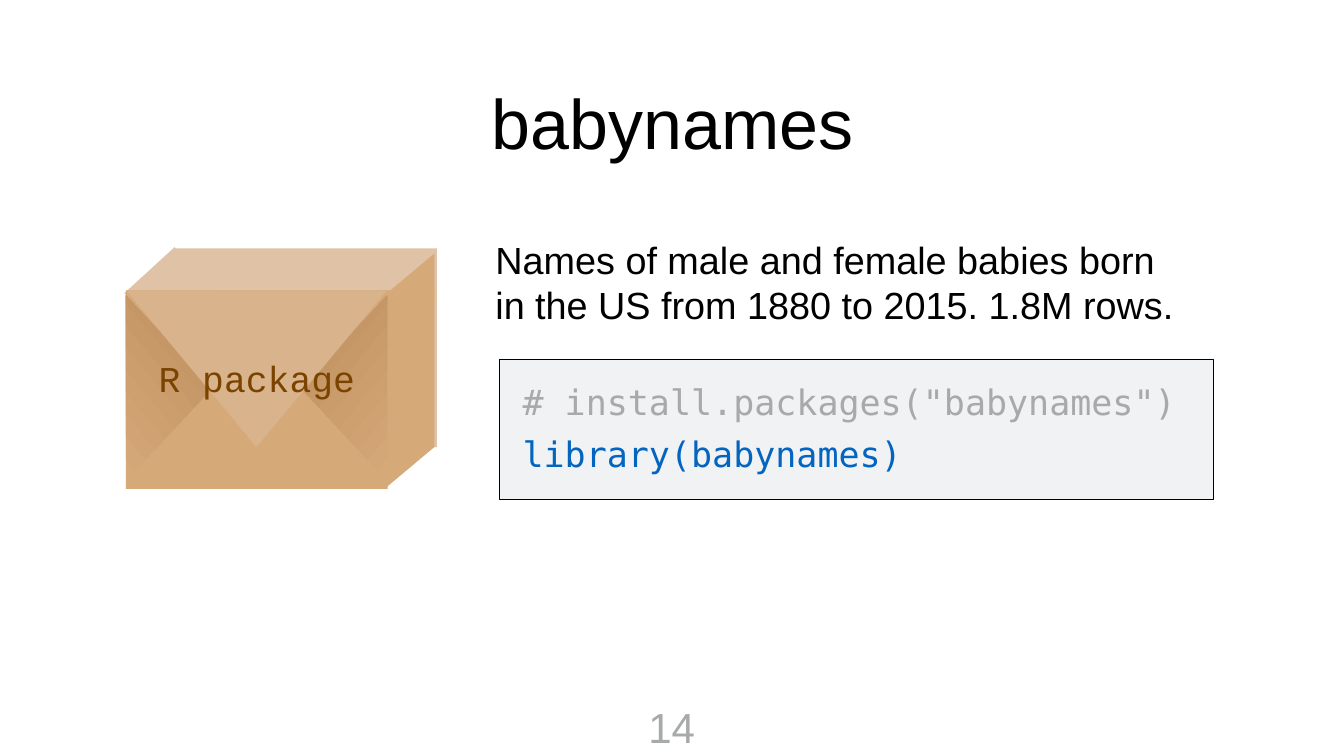
"""Build the babynames package slide."""
from pptx import Presentation
from pptx.dml.color import RGBColor
from pptx.enum.shapes import MSO_SHAPE
from pptx.enum.text import MSO_ANCHOR, PP_ALIGN
from pptx.util import Inches, Pt

RECTANGLE = MSO_SHAPE.RECTANGLE
TOP, MIDDLE = MSO_ANCHOR.TOP, MSO_ANCHOR.MIDDLE
LEFT, CENTER = PP_ALIGN.LEFT, PP_ALIGN.CENTER
COLORS = {
    "black": "000000", "grey": "A6AAA9", "blue": "0365C0", "panel": "F0F2F4",
    "top": "E0C2A6", "side": "D6A979", "flap": "D9B38C", "shade": "BD8E5E",
    "label": "7A4300",
}


def rgb(name):
    return RGBColor.from_string(COLORS[name])


def write(para, text, font="Arial", size=54, color="black", align=LEFT, before=0):
    para.alignment = align
    if before:
        para.space_before = Pt(before)
    span = para.add_run()
    span.text = text
    span.font.name = font
    span.font.size = Pt(size)
    span.font.color.rgb = rgb(color)


class Painter:
    def __init__(self, page, inset=0.06):
        self.page = page
        self.inset = Inches(inset)

    def text(self, at, lines, anchor=TOP, wrap=True, **style):
        box = self.page.shapes.add_textbox(*map(Inches, at))
        frame = box.text_frame
        frame.word_wrap = wrap
        frame.vertical_anchor = anchor
        frame.margin_left = frame.margin_right = self.inset
        frame.margin_top = frame.margin_bottom = self.inset
        for index, (text, color) in enumerate(lines):
            para = frame.add_paragraph() if index else frame.paragraphs[0]
            write(para, text, color=color, before=15 if index else 0, **style)

    def finish(self, shape, fill, line=None):
        shape.shadow.inherit = False
        shape.fill.solid()
        shape.fill.fore_color.rgb = rgb(fill)
        if line:
            shape.line.color.rgb = rgb(line)
            shape.line.width = Pt(1)
        else:
            shape.line.fill.background()

    def rectangle(self, at, fill, line=None, rotation=0):
        shape = self.page.shapes.add_shape(RECTANGLE, *map(Inches, at))
        shape.rotation = rotation
        self.finish(shape, fill, line)

    def triangle(self, points, fill, shade=None, angle=0):
        start, *rest = [(Inches(x), Inches(y)) for x, y in points]
        builder = self.page.shapes.build_freeform(*start)
        builder.add_line_segments(rest, close=True)
        shape = builder.convert_to_shape()
        self.finish(shape, fill)
        if shade:
            shape.fill.gradient()
            shape.fill.gradient_angle = angle
            for stop, color in zip(shape.fill.gradient_stops, (fill, shade)):
                stop.color.rgb = rgb(color)


def draw_package(painter):
    left, right, top, middle = 2.5, 7.68, 5.76, 5.09
    painter.rectangle((3.48, 4.93, 5.19, 3.94), "top")
    painter.rectangle((3.43, top, 5.19, 3.11), "side")
    painter.rectangle((2.73, 5.19, 1.35, 1.3), "top", rotation=317.5)
    painter.triangle([(7.63, 8.87), (8.62, 8.87), (7.63, 9.7)], "side")
    painter.rectangle((left, top, 5.19, 3.94), "side")
    for edge, tip, angle in ((right, 5.97, 140), (left, 4.21, 40)):
        painter.triangle([(edge, 5.86), (edge, 9.54), (tip, 7.7)],
                         "side", "shade", angle)
    painter.triangle([(left, top), (right, top), (middle, 8.87)], "flap")
    painter.triangle([(8.62, 5.86), (7.63, 5.86), (8.62, 5.03)], "side")
    painter.text((2.09, 5.28, 6.01, 4.42), [("R package", "label")],
                 anchor=MIDDLE, font="Courier New", size=52, align=CENTER)


def main():
    deck = Presentation()
    deck.slide_width, deck.slide_height = Inches(26.67), Inches(15)
    painter = Painter(deck.slides.add_slide(deck.slide_layouts[6]))
    painter.text((4.4, 1.1, 17.9, 2.62), [("babynames", "black")],
                 anchor=MIDDLE, size=100, align=CENTER)
    summary = ("Names of male and female babies born in the US "
               "from 1880 to 2015. 1.8M rows.")
    painter.text((9.77, 4.41, 13.68, 2.36), [(summary, "black")], anchor=MIDDLE)
    painter.rectangle((9.91, 7.12, 14.17, 2.79), "panel", line="black")
    code = [('# install.packages("babynames")', "grey"),
            ("library(babynames)", "blue")]
    painter.text((10.31, 7.48, 14.52, 2.22), code,
                 font="DejaVu Sans Mono", size=50)
    draw_package(painter)
    painter.text((12.78, 13.85, 1.1, 1.16), [("14", "grey")],
                 wrap=False, size=60, align=CENTER)
    deck.save("out.pptx")


if __name__ == "__main__":
    main()
